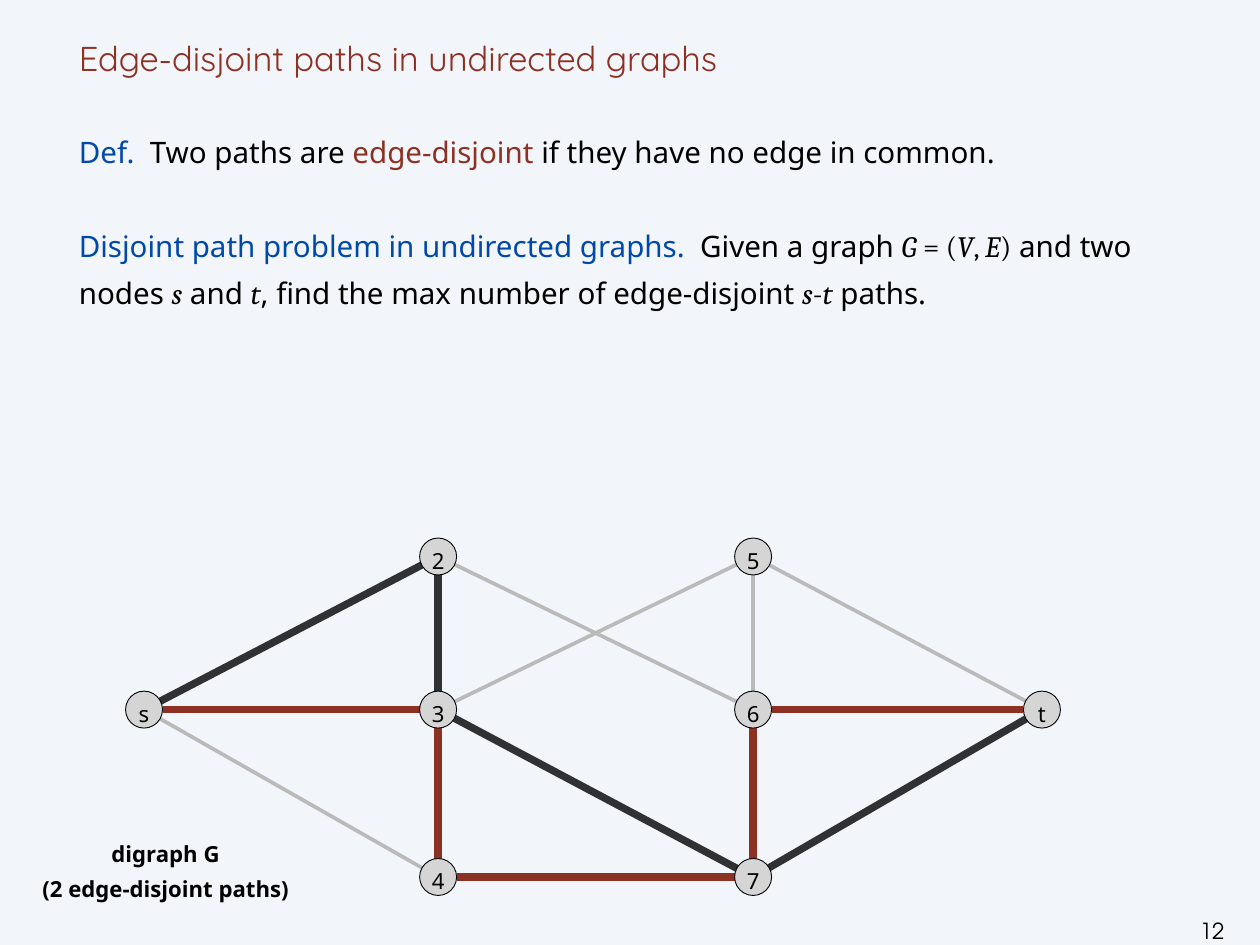
from math import hypot

from lxml.etree import SubElement
from pptx import Presentation
from pptx.dml.color import RGBColor
from pptx.enum.shapes import MSO_CONNECTOR as Connector, MSO_SHAPE as Shape
from pptx.enum.text import MSO_ANCHOR as Anchor, MSO_AUTO_SIZE as AutoSize, PP_ALIGN as Align
from pptx.oxml.ns import qn
from pptx.util import Cm, Pt

COLOURS = {
    "background": "F2F6FA",
    "text": "000000",
    "term": "0048AA",
    "red": "8D3124",
    "dark": "303132",
    "grey": "BABABA",
    "node": "D5D5D5",
}

TITLE_BOX = (2.26, 0, 31.6, 2.26)
BODY_BOX = (2.26, 3.53, 31.6, 22.71)
DIAGRAM_BOX = (4.13, 15.96, 25.74, 9.19)
CAPTION_BOX = (0.92, 23.88, 7.65, 1.73)
NUMBER_BOX = (33.75, 26.57, 2, 0.5)

BODY = {"name": "Noto Sans", "size": Pt(24), "italic": False}
MATH = {"name": "Cambria", "size": Pt(24), "italic": False}
VARIABLE = MATH | {"italic": True}
SMALL = {"name": "Noto Sans", "size": Pt(18)}

DEFINITION = [
    ("Def.  ", BODY, "term"),
    ("Two paths are ", BODY, "text"),
    ("edge-disjoint", BODY, "red"),
    (" if they have no edge in common.", BODY, "text"),
]
PROBLEM = [
    ("Disjoint path problem in undirected graphs.  ", BODY, "term"),
    ("Given a graph ", BODY, "text"),
    ("G", VARIABLE, "text"),
    (" = (", MATH, "text"),
    ("V", VARIABLE, "text"),
    (", ", MATH, "text"),
    ("E", VARIABLE, "text"),
    (")", MATH, "text"),
    (" and two nodes ", BODY, "text"),
    ("s", VARIABLE, "text"),
    (" and ", BODY, "text"),
    ("t", VARIABLE, "text"),
    (", find the max number of edge-disjoint ", BODY, "text"),
    ("s", VARIABLE, "text"),
    ("-", MATH, "text"),
    ("t", VARIABLE, "text"),
    (" paths.", BODY, "text"),
]

COLUMNS = (0, 8.43, 17.46, 25.74)
ROWS = (0, 4.39, 9.19)
NODES = {
    "s": (0, 1), "2": (1, 0), "3": (1, 1), "4": (1, 2),
    "5": (2, 0), "6": (2, 1), "7": (2, 2), "t": (3, 1),
}
RADIUS = 0.53
EDGES = {
    "grey": (3, ("s4", "26", "35", "56", "5t")),
    "red": (6, ("s3", "34", "47", "76", "6t")),
    "dark": (6, ("s2", "23", "37", "7t")),
}


def colour(name):
    """Return the named colour."""
    return RGBColor.from_string(COLOURS[name])


def apply_format(target, values):
    """Set every attribute in values on the target."""
    for name, value in values.items():
        setattr(target, name, value)


def place(shape, box):
    """Move a shape to a box given in centimetres."""
    names = ("left", "top", "width", "height")
    apply_format(shape, dict(zip(names, map(Cm, box))))


def format_frame(frame, **values):
    """Clear the margins of a text frame and apply further settings."""
    sides = ("margin_left", "margin_top", "margin_right", "margin_bottom")
    apply_format(frame, dict.fromkeys(sides, Cm(0)) | values)


def write(paragraph, runs, **values):
    """Fill a paragraph with formatted runs."""
    apply_format(paragraph, {"space_before": Pt(0)} | values)
    for text, font, name in runs:
        run = paragraph.add_run()
        run.text = text
        apply_format(run.font, font)
        run.font.color.rgb = colour(name)


def add_title(slide, box):
    """Place the slide title."""
    title = slide.shapes.title
    place(title, box)
    format_frame(title.text_frame, vertical_anchor=Anchor.BOTTOM, auto_size=AutoSize.NONE)
    font = {"name": "Quicksand", "size": Pt(28)}
    runs = [("Edge-disjoint paths in undirected graphs", font, "red")]
    write(title.text_frame.paragraphs[0], runs, alignment=Align.LEFT, line_spacing=Pt(38))


def add_body(slide, box):
    """Place the definition and the problem statement."""
    body = slide.placeholders[1]
    place(body, box)
    frame = body.text_frame
    format_frame(frame, vertical_anchor=Anchor.TOP, auto_size=AutoSize.NONE)
    for paragraph, runs, gap in (
        (frame.paragraphs[0], DEFINITION, 0),
        (frame.add_paragraph(), PROBLEM, 38),
    ):
        write(paragraph, runs, line_spacing=Pt(38), space_before=Pt(gap))
        properties = paragraph._p.get_or_add_pPr()
        properties.set("marL", "0")
        properties.set("indent", "0")
        SubElement(properties, qn("a:buNone"))


def add_label(slide, box, lines, font, spacing):
    """Place a centred text box with one paragraph per line."""
    label = slide.shapes.add_textbox(*map(Cm, box))
    frame = label.text_frame
    format_frame(frame, word_wrap=True, auto_size=AutoSize.NONE)
    for index, line in enumerate(lines):
        paragraph = frame.add_paragraph() if index else frame.paragraphs[0]
        write(paragraph, [(line, font, "text")], alignment=Align.CENTER, line_spacing=spacing)


def add_edge(slide, start, end, name, width):
    """Draw an edge between the rims of two nodes."""
    (x1, y1), (x2, y2) = start, end
    length = hypot(x2 - x1, y2 - y1)
    dx, dy = (RADIUS * (x2 - x1) / length, RADIUS * (y2 - y1) / length)
    points = (x1 + dx, y1 + dy, x2 - dx, y2 - dy)
    edge = slide.shapes.add_connector(Connector.STRAIGHT, *map(Cm, points))
    edge.line.color.rgb = colour(name)
    edge.line.width = Pt(width)
    SubElement(edge._element.spPr, qn("a:effectLst"))


def add_node(slide, centre, text):
    """Draw a labelled round node."""
    x, y = centre
    box = (x - RADIUS, y - RADIUS, 2 * RADIUS, 2 * RADIUS)
    node = slide.shapes.add_shape(Shape.OVAL, *map(Cm, box))
    node.shadow.inherit = False
    node.fill.solid()
    node.fill.fore_color.rgb = colour("node")
    node.line.color.rgb = colour("text")
    node.line.width = Pt(0.75)
    format_frame(node.text_frame, word_wrap=False, vertical_anchor=Anchor.MIDDLE)
    write(node.text_frame.paragraphs[0], [(text, SMALL, "text")],
          alignment=Align.CENTER, line_spacing=1.3)


def add_diagram(slide, box):
    """Draw the graph with its two edge-disjoint paths."""
    left, top = box[:2]
    centres = {
        text: (left + COLUMNS[column], top + ROWS[row])
        for text, (column, row) in NODES.items()
    }
    for name, (width, pairs) in EDGES.items():
        for start, end in pairs:
            add_edge(slide, centres[start], centres[end], name, width)
    for text, centre in centres.items():
        add_node(slide, centre, text)


def main():
    """Build the slide and save it."""
    presentation = Presentation()
    apply_format(presentation, {"slide_width": Cm(36.12), "slide_height": Cm(27.1)})
    slide = presentation.slides.add_slide(presentation.slide_layouts[1])
    slide.background.fill.solid()
    slide.background.fill.fore_color.rgb = colour("background")
    add_title(slide, TITLE_BOX)
    add_body(slide, BODY_BOX)
    add_diagram(slide, DIAGRAM_BOX)
    add_label(slide, CAPTION_BOX, ("digraph G", "(2 edge-disjoint paths)"),
              SMALL | {"bold": True}, 1.3)
    add_label(slide, NUMBER_BOX, ("12",),
              {"name": "TeX Gyre Adventor", "size": Pt(18)}, Pt(14))
    presentation.save("out.pptx")


if __name__ == "__main__":
    main()
